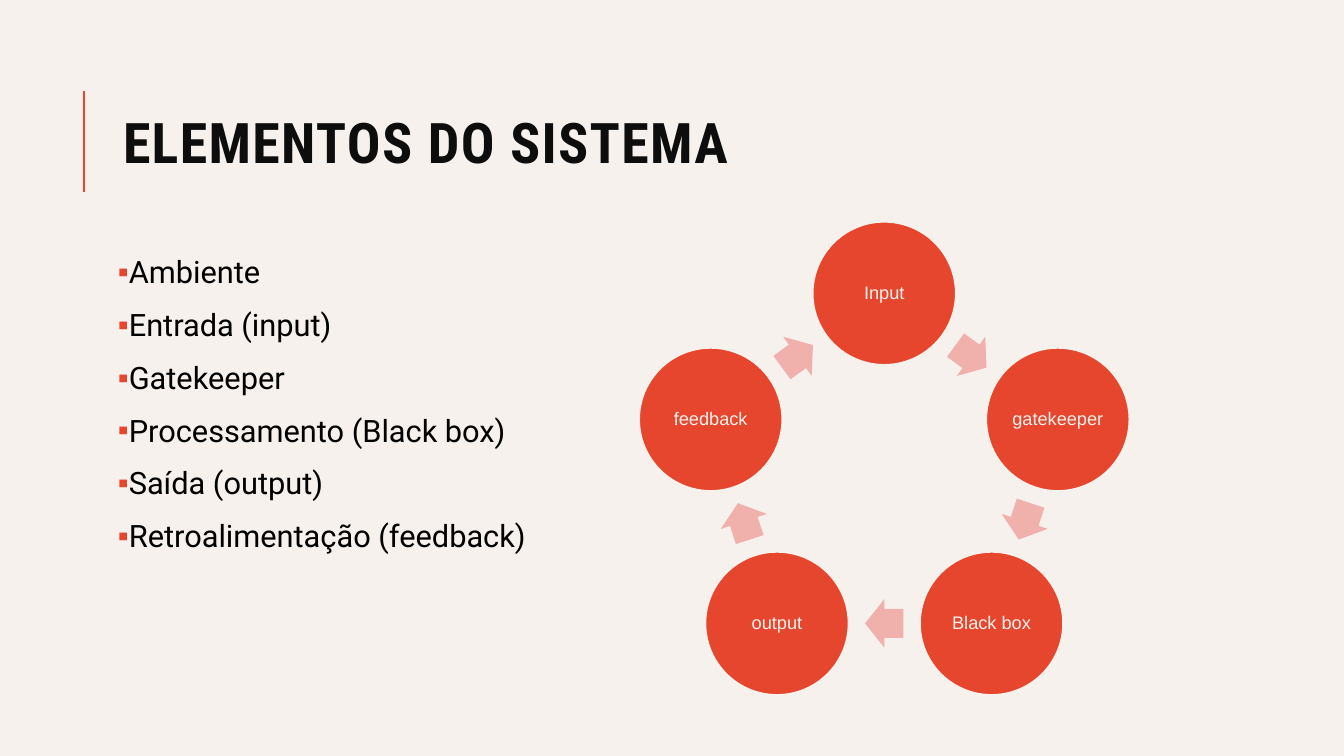
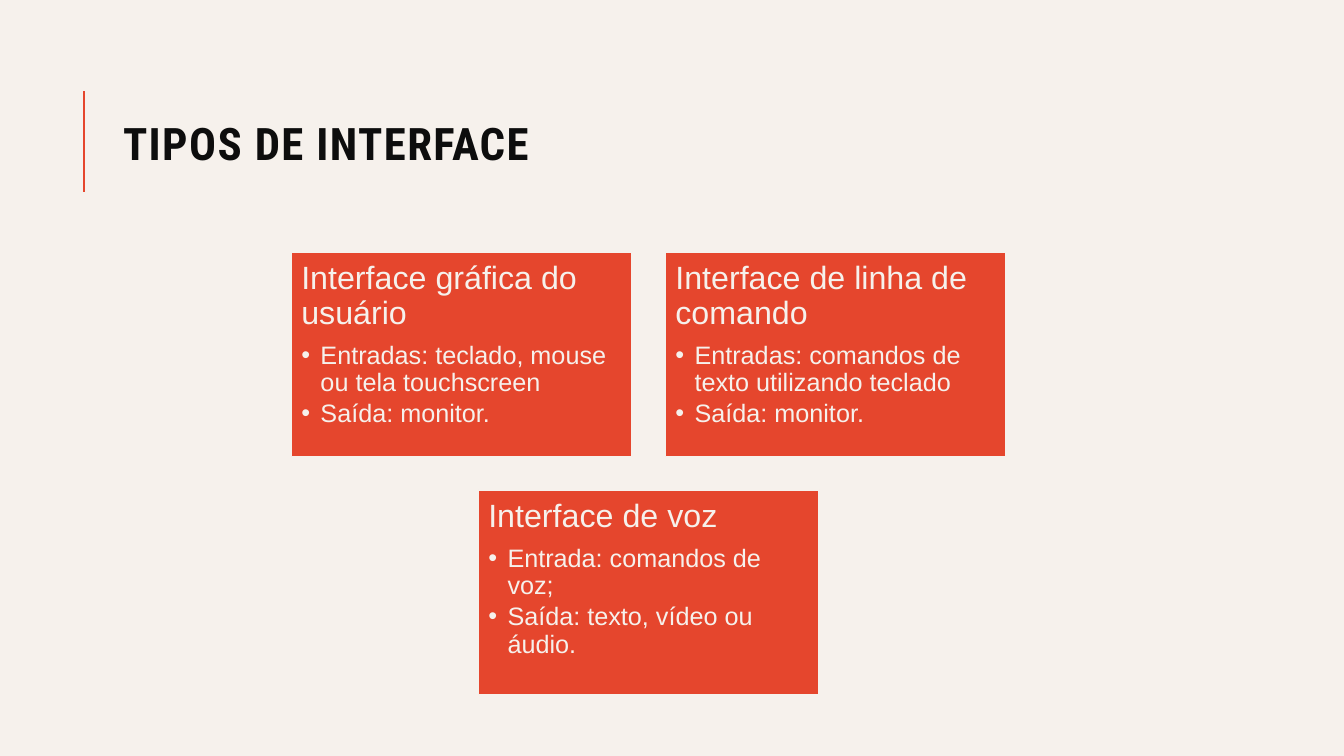
from math import cos, pi, sin

from lxml.etree import SubElement
from pptx import Presentation
from pptx.dml.color import RGBColor
from pptx.enum.shapes import MSO_CONNECTOR, MSO_SHAPE
from pptx.enum.text import MSO_ANCHOR, MSO_AUTO_SIZE, PP_ALIGN
from pptx.oxml.ns import qn
from pptx.util import Inches, Pt

CREAM = RGBColor(0xF6, 0xF1, 0xEC)
RED = RGBColor(0xE5, 0x46, 0x2D)
PINK = RGBColor(0xF0, 0xB1, 0xAD)
BLACK = RGBColor(0, 0, 0)
INK = RGBColor(0x0D, 0x0D, 0x0D)

deck = Presentation()
deck.slide_width = Inches(13.33)
deck.slide_height = Inches(7.5)
deck.slide_master.background.fill.solid()
deck.slide_master.background.fill.fore_color.rgb = CREAM


def add_text(frame, text, size, font, color, after=0, mark=None, tint=None, indent=0):
    para = frame.paragraphs[0]
    if para.runs:
        para = frame.add_paragraph()
    if mark:
        props = para._p.get_or_add_pPr()
        props.set("marL", str(Inches(indent)))
        props.set("indent", str(-Inches(indent)))
        paint = SubElement(props, qn("a:buClr"))
        SubElement(paint, qn("a:srgbClr"), val=str(tint))
        SubElement(props, qn("a:buFont"), typeface="Arial")
        SubElement(props, qn("a:buChar"), char=mark)
    para.alignment = PP_ALIGN.LEFT
    para.line_spacing = 0.9
    para.space_after = Pt(after)
    run = para.add_run()
    run.text = text
    run.font.size = Pt(size)
    run.font.name = font
    run.font.color.rgb = color
    return para


def add_page(text, size):
    page = deck.slides.add_slide(deck.slide_layouts[5])
    rule = page.shapes.add_connector(
        MSO_CONNECTOR.STRAIGHT, Inches(0.83), Inches(1.9), Inches(0.83), Inches(0.9))
    rule.line.color.rgb = RED
    rule.line.width = Pt(1.5)
    SubElement(rule._element.spPr, qn("a:effectLst"))
    title = page.shapes.title
    title.left, title.top = Inches(1.12), Inches(0.64)
    title.width, title.height = Inches(10.63), Inches(1.64)
    frame = title.text_frame
    frame.auto_size = MSO_AUTO_SIZE.NONE
    frame.vertical_anchor = MSO_ANCHOR.MIDDLE
    para = add_text(frame, text, size, "Roboto Condensed", INK)
    para.line_spacing = 0.8
    font = para.runs[0].font
    font.bold = True
    font._element.set("spc", "100")
    return page


page = add_page("ELEMENTOS DO SISTEMA", 40)
box = page.shapes.add_textbox(Inches(1.12), Inches(2.5), Inches(4.73), Inches(4.4))
frame = box.text_frame
frame.word_wrap = True
frame.margin_left = frame.margin_right = Inches(0.05)
frame.margin_top = frame.margin_bottom = Inches(0.05)
items = ["Ambiente", "Entrada (input)", "Gatekeeper", "Processamento (Black box)",
         "Saída (output)", "Retroalimentação (feedback)"]
for place, item in enumerate(items):
    para = add_text(frame, item, 22, "Roboto", BLACK, 2, "▪", RED, 0.1)
    if place:
        para.space_before = Pt(12)

MID_X, MID_Y, REACH = 8.77, 4.72, 1.81
DISC, LONG, WIDE = 1.42, 0.38, 0.48
steps = ["Input", "gatekeeper", "Black box", "output", "feedback"]
turn = 2 * pi / len(steps)
for place, step in enumerate(steps):
    angle = place * turn - pi / 2
    left = MID_X + REACH * cos(angle) - DISC / 2
    top = MID_Y + REACH * sin(angle) - DISC / 2
    disc = page.shapes.add_shape(
        MSO_SHAPE.OVAL, Inches(left), Inches(top), Inches(DISC), Inches(DISC))
    disc.shadow.inherit = False
    disc.fill.solid()
    disc.fill.fore_color.rgb = RED
    disc.line.color.rgb = CREAM
    disc.line.width = Pt(1.25)
    frame = disc.text_frame
    frame.word_wrap = True
    frame.vertical_anchor = MSO_ANCHOR.MIDDLE
    frame.margin_left = frame.margin_right = Inches(0.02)
    frame.margin_top = frame.margin_bottom = Inches(0.02)
    add_text(frame, step, 13, "Arial", CREAM).alignment = PP_ALIGN.CENTER

    angle += turn / 2
    reach = REACH * cos(turn / 2)
    left = MID_X + reach * cos(angle) - LONG / 2
    top = MID_Y + reach * sin(angle) - WIDE / 2
    arrow = page.shapes.add_shape(
        MSO_SHAPE.RIGHT_ARROW, Inches(left), Inches(top), Inches(LONG), Inches(WIDE))
    arrow.adjustments[0] = 0.6
    arrow.rotation = 36 + 72 * place
    arrow.shadow.inherit = False
    arrow.fill.solid()
    arrow.fill.fore_color.rgb = PINK
    arrow.line.fill.background()

page = add_page("TIPOS DE INTERFACE", 32)
WIDTH, HEIGHT, GAP = 3.38, 2.03, 0.33
cards = [
    (0, 0, "Interface gráfica do usuário",
     ["Entradas: teclado, mouse ou tela touchscreen", "Saída: monitor."]),
    (1, 0, "Interface de linha de comando",
     ["Entradas: comandos de texto utilizando teclado", "Saída: monitor."]),
    (0.5, 1, "Interface de voz",
     ["Entrada: comandos de voz;", "Saída: texto, vídeo ou áudio."]),
]
for col, row, head, notes in cards:
    left = 2.89 + col * (WIDTH + GAP)
    top = 2.5 + row * (HEIGHT + GAP)
    card = page.shapes.add_shape(
        MSO_SHAPE.RECTANGLE, Inches(left), Inches(top), Inches(WIDTH), Inches(HEIGHT))
    card.shadow.inherit = False
    card.fill.solid()
    card.fill.fore_color.rgb = RED
    card.line.color.rgb = CREAM
    card.line.width = Pt(1.25)
    frame = card.text_frame
    frame.word_wrap = True
    frame.vertical_anchor = MSO_ANCHOR.TOP
    frame.margin_left = frame.margin_right = Inches(0.1)
    frame.margin_top = frame.margin_bottom = Inches(0.1)
    add_text(frame, head, 23, "Arial", CREAM, 8)
    for note in notes:
        add_text(frame, note, 18, "Arial", CREAM, 2.7, "•", CREAM, 0.19)

deck.save("out.pptx")
